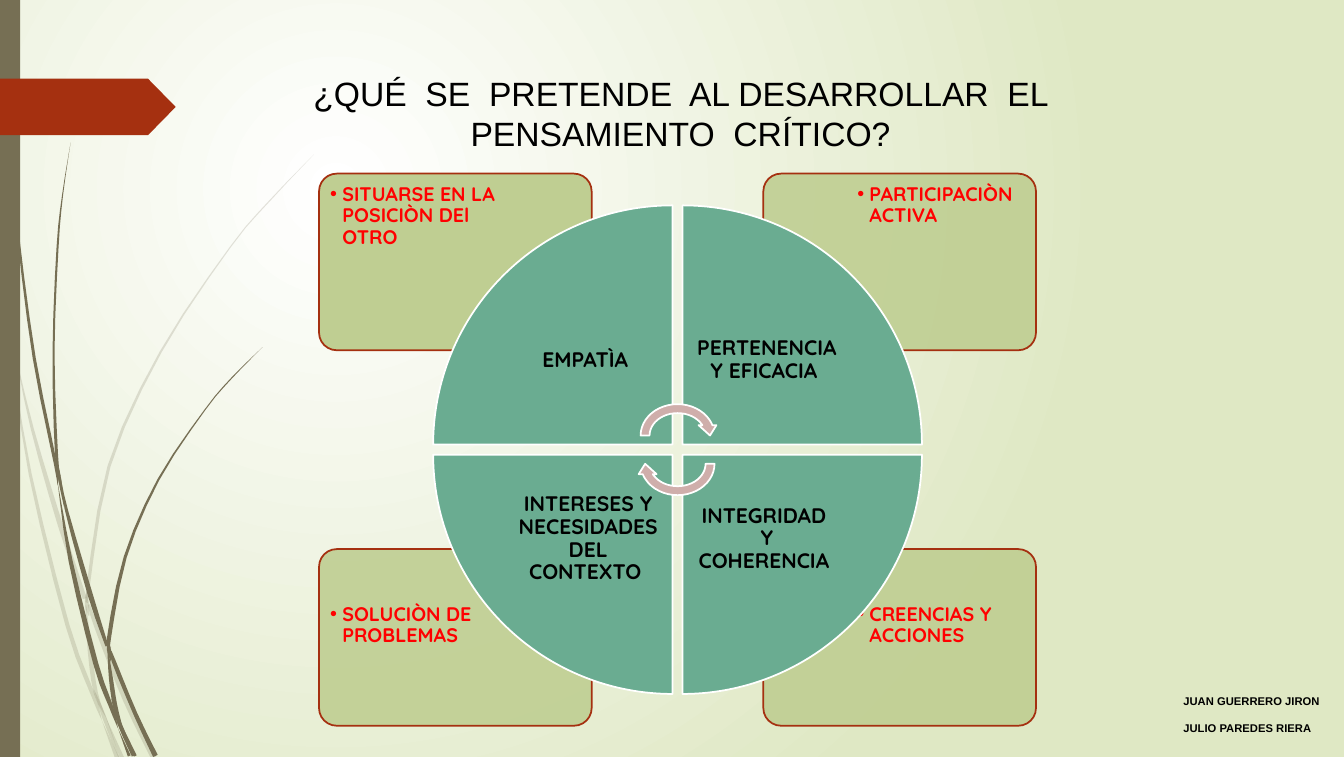
from math import hypot

from lxml.etree import SubElement
from pptx import Presentation
from pptx.dml.color import RGBColor
from pptx.enum.shapes import MSO_SHAPE as SHAPE
from pptx.enum.text import MSO_ANCHOR as ANCHOR, PP_ALIGN as ALIGN
from pptx.oxml.ns import qn
from pptx.util import Inches, Pt

WIDTH, HEIGHT = 13.31, 7.5
BROWN, RUST, GREEN, TEAL, PINK = "766F54", "A53010", "BFCE92", "6AAC91", "CFAEAB"
WHITE, BLACK, RED, PALE = "FFFFFF", "000000", "FF0000", "DFE8C4"

FAINT_BLADES = [
    [(0, 2.9, .03), (.09, 3.33, .02), (.11, 3.5, 0)],
    [(.14, 3.45, 0), (.32, 4.25, .03), (.6, 5.21, .05), (.84, 5.93, .04)],
    [(.88, 5.99, .02), (.95, 6.2, .04), (1.24, 6.93, .05), (1.52, 7.51, .05)],
    [(1.05, 7.11, 0), (1.21, 7.51, .04)],
    [(.11, 3.5, 0), (.3, 4.7, .03), (.67, 6.2, .04), (.92, 6.88, .04), (1.01, 7.14, 0)],
    [(.85, 6, .01), (.89, 6.46, .04), (.95, 6.87, .04), (1.05, 7.11, 0)],
    [(3.11, 1.53, 0), (2.68, 1.98, .01), (2.28, 2.45, .01), (1.59, 3.49, .02),
     (1.08, 4.62, .03), (.87, 5.84, .03), (.88, 5.96, 0)],
    [(1.01, 7.14, 0), (1.16, 7.51, .04)],
    [(.86, 5.86, .01), (.86, 5.98, .04), (.88, 6.1, .01)],
    [(.93, 6.83, 0), (1.03, 7.1, .04), (1.18, 7.51, .01)],
]
DARK_BLADES = [
    [(.03, 0, 0), (.07, 1.1, .01), (.18, 2.33, .02), (.34, 3.55, .03),
     (.55, 4.6, .03), (.57, 4.81, 0)],
    [(.6, 4.72, 0), (.66, 5.06, .03), (.9, 5.91, .05), (1.06, 6.4, .03)],
    [(1.1, 6.45, .01), (1.13, 6.56, .04), (1.34, 7.07, .04), (1.54, 7.49, .05)],
    [(.57, 4.77, 0), (.7, 5.56, .04), (.95, 6.58, .05), (1.1, 7, .04), (1.17, 7.22, 0)],
    [(.7, 1.41, 0), (.62, 1.93, .01), (.57, 2.45, .02), (.53, 3.49, .02),
     (.56, 4.51, .03), (.6, 4.72, 0)],
    [(1.21, 7.19, 0), (1.34, 7.49, .03)],
    [(.55, 4.49, 0), (.59, 4.74, .03), (.64, 5.05, 0)],
    [(2.6, 3.44, 0), (2.3, 3.74, .01), (2.03, 4.06, .01), (1.57, 4.75, .02),
     (1.24, 5.52, .03), (1.08, 6.32, .04), (1.1, 6.41, 0)],
    [(1.17, 7.22, 0), (1.28, 7.49, .03)],
    [(1.07, 6.46, .01), (1.1, 6.73, .04), (1.14, 6.98, .04), (1.21, 7.19, 0)],
    [(1.06, 6.31, 0), (1.08, 6.44, .04), (1.1, 6.56, 0)],
    [(1.1, 6.91, 0), (1.18, 7.16, .04), (1.32, 7.49, .03)],
]
QUADRANTS = [
    (0, 0, "EMPATÌA ", "SITUARSE EN LA POSICIÒN DEl OTRO", None),
    (1, 0, "PERTENENCIA Y EFICACIA ", "PARTICIPACIÒN ACTIVA", 90),
    (1, 1, "INTEGRIDAD  Y COHERENCIA ", "CREENCIAS Y ACCIONES", 90),
    (0, 1, "INTERESES Y NECESIDADES DEL CONTEXTO ", "SOLUCIÒN DE PROBLEMAS", 90),
]


def color(value):
    return RGBColor.from_string(value)


def paint(shape, fill, line=None, opacity=None):
    shape.shadow.inherit = False
    shape.fill.solid()
    shape.fill.fore_color.rgb = color(fill)
    if opacity:
        tone = shape.fill._xPr.find(qn("a:solidFill"))[0]
        SubElement(tone, qn("a:alpha"), val=str(opacity * 1000))
    if line:
        shape.line.color.rgb = color(line)
        shape.line.width = Pt(1.25)
    else:
        shape.line.fill.background()


def add_preset(page, kind, box, fill, line=None, opacity=None):
    shape = page.shapes.add_shape(kind, *map(Inches, box))
    paint(shape, fill, line, opacity)
    return shape


def add_text(page, box, lines, size, font, ink=BLACK, bold=False, align=ALIGN.LEFT,
             anchor=ANCHOR.TOP, inset=(.1, .05), spacing=1.0, gap=0, bullet=False):
    frame = page.shapes.add_textbox(*map(Inches, box)).text_frame
    frame.word_wrap = True
    frame.vertical_anchor = anchor
    frame.margin_left = frame.margin_right = Inches(inset[0])
    frame.margin_top = frame.margin_bottom = Inches(inset[1])
    for index, line in enumerate(lines):
        para = frame.add_paragraph() if index else frame.paragraphs[0]
        para.text = line
        para.alignment = align
        para.line_spacing = spacing
        if index:
            para.space_before = Pt(gap)
        if bullet:
            props = para._p.get_or_add_pPr()
            props.set("marL", str(Inches(.12)))
            props.set("indent", str(-Inches(.12)))
            SubElement(props, qn("a:buFont"), typeface="Arial")
            SubElement(props, qn("a:buChar"), char="•")
        para.font.size = Pt(size)
        para.font.name = font
        para.font.bold = bold
        para.font.color.rgb = color(ink)


def smooth(points, steps=3):
    padded = [points[0], *points, points[-1]]
    result = []
    for a, b, c, d in zip(padded, padded[1:], padded[2:], padded[3:]):
        for step in range(steps):
            t = step / steps
            result.append([
                q + t / 2 * (r - p + t * (2 * p - 5 * q + 4 * r - s
                                          + t * (3 * (q - r) + s - p)))
                for p, q, r, s in zip(a, b, c, d)])
    return result + [points[-1]]


def draw_blade(page, points, opacity=None):
    curve = smooth(points) if len(points) > 2 else points
    left, right = [], []
    for before, (x, y, width), after in zip(curve[:1] + curve, curve, curve[1:] + curve[-1:]):
        dx, dy = after[0] - before[0], after[1] - before[1]
        reach = width / 2 / hypot(dx, dy)
        left.append((Inches(x - dy * reach), Inches(y + dx * reach)))
        right.append((Inches(x + dy * reach), Inches(y - dx * reach)))
    outline = left + right[::-1]
    builder = page.shapes.build_freeform(*outline[0])
    builder.add_line_segments(outline[1:], close=True)
    paint(builder.convert_to_shape(), BROWN, opacity=opacity)


def draw_backdrop(page):
    fill = page.background.fill
    fill.gradient()
    for stop, (place, tone) in zip(fill.gradient_stops, [(0, WHITE), (1, PALE)]):
        stop.position = place
        stop.color.rgb = color(tone)
    gradient = page._element.find(".//" + qn("a:gradFill"))
    gradient.remove(gradient.find(qn("a:lin")))
    path = SubElement(gradient, qn("a:path"), path="circle")
    SubElement(path, qn("a:fillToRect"), l="50000", t="50000", r="100000", b="100000")
    for blades, opacity in [(FAINT_BLADES, 20), (DARK_BLADES, None)]:
        for blade in blades:
            draw_blade(page, blade, opacity)
    add_preset(page, SHAPE.RECTANGLE, (0, 0, .2, HEIGHT), BROWN)
    tab = add_preset(page, SHAPE.PENTAGON, (0, .78, 1.74, .56), RUST)
    tab.adjustments[0] = .49


def draw_cycle(page, left, top, width, height):
    card_width, card_height = 2.7, 1.75
    radius, gap, label = 2.37, .1, 1.67
    center_x, center_y = left + width / 2, top + height / 2

    for column, row, _, detail, opacity in reversed(QUADRANTS):
        x = left + column * (width - card_width)
        y = top + row * (height - card_height)
        card = add_preset(page, SHAPE.ROUNDED_RECTANGLE,
                          (x, y, card_width, card_height), GREEN, RUST, opacity)
        card.adjustments[0] = .1
        add_text(page, (x + (.04, .86)[column], y + (.04, .48)[row], 1.81, 1.24),
                 [detail], 14, "Quicksand", RED, True, inset=(.07, .07),
                 spacing=.9, bullet=True)

    for index, (column, row, name, _, _) in enumerate(QUADRANTS):
        def corner(size):
            return (center_x + (gap / 2 if column else -gap / 2 - size),
                    center_y + (gap / 2 if row else -gap / 2 - size), size, size)

        wedge = add_preset(page, SHAPE.PIE_WEDGE, corner(radius), TEAL, WHITE)
        wedge.rotation = 90 * index
        add_text(page, corner(label), [name], 15, "Quicksand", bold=True,
                 align=ALIGN.CENTER, anchor=ANCHOR.MIDDLE, inset=(.12, .12), spacing=.9)

    for shift, turn in [(-.14, 0), (.14, 180)]:
        arrow = add_preset(page, SHAPE.CIRCULAR_ARROW,
                           (center_x - .41, center_y + shift - .355, .82, .71), PINK, WHITE)
        arrow.rotation = turn


def main():
    deck = Presentation()
    deck.slide_width, deck.slide_height = Inches(WIDTH), Inches(HEIGHT)
    page = deck.slides.add_slide(deck.slide_layouts[6])
    draw_backdrop(page)
    draw_cycle(page, 3.16, 1.72, 7.1, 5.47)
    add_text(page, (2.05, .67, 9.38, .91),
             ["¿QUÉ  SE  PRETENDE  AL DESARROLLAR  EL PENSAMIENTO  CRÍTICO?"],
             24, "Arial", align=ALIGN.CENTER)
    add_text(page, (11.62, 6.83, 1.69, .5), ["JUAN GUERRERO JIRON", "JULIO PAREDES RIERA"],
             8, "Arial", bold=True, anchor=ANCHOR.BOTTOM, gap=10)
    deck.save("out.pptx")


if __name__ == "__main__":
    main()
